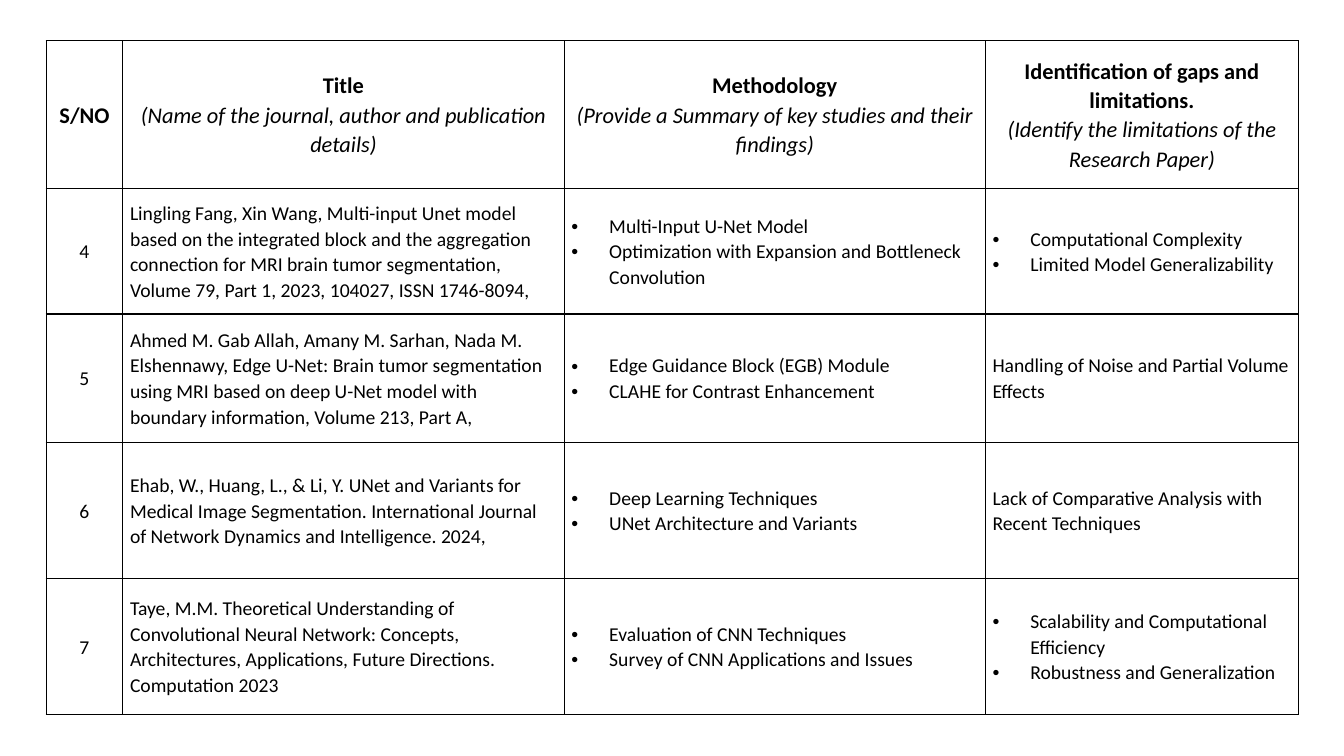
import dataclasses

import lxml.etree
import pptx
import pptx.dml.color
import pptx.enum.text
import pptx.oxml.ns
import pptx.table
import pptx.text.text
import pptx.util

Pt = pptx.util.Pt
Align = pptx.enum.text.PP_ALIGN
HUES = {"ink": "000000"}
FONT = "Calibri"
WIDTHS = (54.7, 315.3, 300.8, 223.8)
HEIGHTS = (105.7, 89.6, 91.8, 97.2, 97.2)


@dataclasses.dataclass(frozen=True)
class Head:
    name: str
    hint: str = ""


@dataclasses.dataclass(frozen=True)
class Paper:
    num: int
    cite: str
    method: tuple[str, ...]
    gaps: tuple[str, ...]


HEADS = (
    Head("S/NO"),
    Head("Title", "(Name of the journal, author and publication details)"),
    Head("Methodology", "(Provide a Summary of key studies and their findings)"),
    Head("Identification of gaps and limitations.",
         "(Identify the limitations of the Research Paper)"),
)
PAPERS = (
    Paper(4, "Lingling Fang, Xin Wang, Multi-input Unet model based on the integrated block "
             "and the aggregation connection for MRI brain tumor segmentation, Volume 79, "
             "Part 1, 2023, 104027, ISSN 1746-8094,",
          ("Multi-Input U-Net Model", "Optimization with Expansion and Bottleneck Convolution"),
          ("Computational Complexity", "Limited Model Generalizability")),
    Paper(5, "Ahmed M. Gab Allah, Amany M. Sarhan, Nada M. Elshennawy, Edge U-Net: Brain tumor "
             "segmentation using MRI based on deep U-Net model with boundary information, "
             "Volume 213, Part A,",
          ("Edge Guidance Block (EGB) Module", "CLAHE for Contrast Enhancement"),
          ("Handling of Noise and Partial Volume Effects",)),
    Paper(6, "Ehab, W., Huang, L., & Li, Y. UNet and Variants for Medical Image Segmentation. "
             "International Journal of Network Dynamics and Intelligence. 2024,",
          ("Deep Learning Techniques", "UNet Architecture and Variants"),
          ("Lack of Comparative Analysis with Recent Techniques",)),
    Paper(7, "Taye, M.M. Theoretical Understanding of Convolutional Neural Network: Concepts, "
             "Architectures, Applications, Future Directions. Computation 2023",
          ("Evaluation of CNN Techniques", "Survey of CNN Applications and Issues"),
          ("Scalability and Computational Efficiency", "Robustness and Generalization")),
)


def add_node(root: lxml.etree._Element, tag: str, **attrs: str) -> lxml.etree._Element:
    return lxml.etree.SubElement(root, pptx.oxml.ns.qn(tag), attrs)


def frame(cell: pptx.table._Cell) -> None:
    cell.margin_left = cell.margin_right = Pt(5.2)
    cell.margin_top = cell.margin_bottom = Pt(0)
    cell.vertical_anchor = pptx.enum.text.MSO_ANCHOR.MIDDLE
    props = cell._tc.get_or_add_tcPr()
    for side in "LRTB":
        line = add_node(props, f"a:ln{side}", w=str(Pt(1)))
        add_node(add_node(line, "a:solidFill"), "a:srgbClr", val=HUES["ink"])
    cell.fill.background()


def bullet(para: pptx.text.text._Paragraph) -> None:
    props = para._p.get_or_add_pPr()
    props.set("marL", str(Pt(27)))
    props.set("indent", str(Pt(-27)))
    add_node(props, "a:buFont", typeface="Arial")
    add_node(props, "a:buChar", char="•")


def write(cell: pptx.table._Cell, lines: tuple[str, ...], size: float,
          align: Align = Align.LEFT, head: bool = False) -> None:
    frame(cell)
    cell.text_frame.text = "\n".join(lines)
    for pos, para in enumerate(cell.text_frame.paragraphs):
        para.alignment = align
        para.line_spacing = 1.07
        if len(lines) > 1 and not head:
            bullet(para)
        for run in para.runs:
            font = run.font
            font.name = FONT
            font.size = Pt(size)
            font.bold = head and pos == 0
            font.italic = head and pos > 0
            font.color.rgb = pptx.dml.color.RGBColor.from_string(HUES["ink"])


def main() -> None:
    deck = pptx.Presentation()
    deck.slide_width, deck.slide_height = Pt(960), Pt(540)
    slide = deck.slides.add_slide(deck.slide_layouts[6])
    table = slide.shapes.add_table(
        len(HEIGHTS), len(WIDTHS), Pt(33), Pt(29), Pt(sum(WIDTHS)), Pt(sum(HEIGHTS))).table
    table.first_row = table.horz_banding = False
    for col, width in zip(table.columns, WIDTHS):
        col.width = Pt(width)
    for row, height in zip(table.rows, HEIGHTS):
        row.height = Pt(height)
    for col, head in enumerate(HEADS):
        lines = (head.name, head.hint) if head.hint else (head.name,)
        write(table.cell(0, col), lines, 16, Align.CENTER, True)
    for row, paper in enumerate(PAPERS, 1):
        write(table.cell(row, 0), (str(paper.num),), 14, Align.CENTER)
        for col, lines in enumerate(((paper.cite,), paper.method, paper.gaps), 1):
            write(table.cell(row, col), lines, 14)
    deck.save("out.pptx")


if __name__ == "__main__":
    main()
